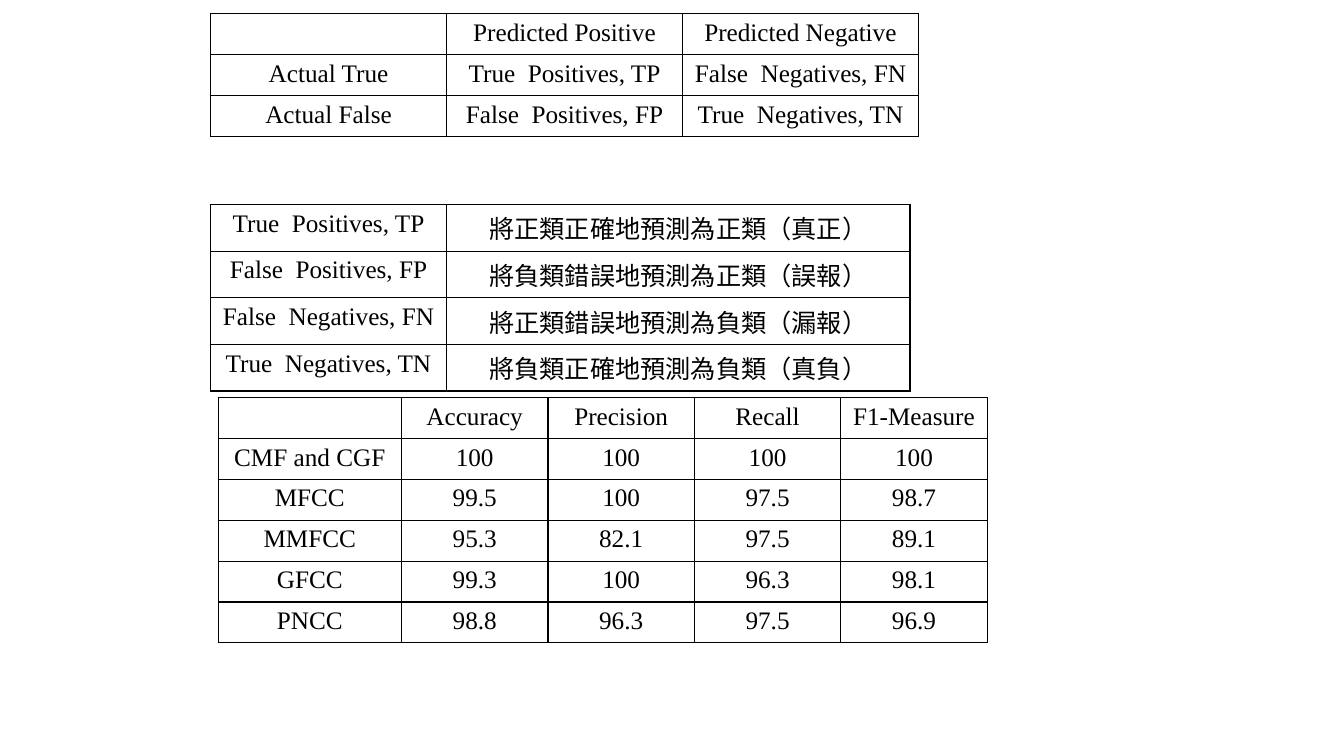
from lxml.etree import SubElement
from pptx import Presentation
from pptx.dml.color import RGBColor
from pptx.enum.text import PP_ALIGN
from pptx.oxml.ns import qn
from pptx.util import Pt

BLACK = RGBColor(0x00, 0x00, 0x00)
ROW_HEIGHT = Pt(29.2)
FONT_FORMAT = {"name": "Times New Roman", "size": Pt(18), "bold": False}
TABLE_FORMAT = {"first_row": False, "horz_banding": False}

TP, FP = "True  Positives, TP", "False  Positives, FP"
FN, TN = "False  Negatives, FN", "True  Negatives, TN"

confusion_matrix = [
    ["", "Predicted Positive", "Predicted Negative"],
    ["Actual True", TP, FN],
    ["Actual False", FP, TN],
]
feature_scores = [
    ["", "Accuracy", "Precision", "Recall", "F1-Measure"],
    ["CMF and CGF", "100", "100", "100", "100"],
    ["MFCC", "99.5", "100", "97.5", "98.7"],
    ["MMFCC", "95.3", "82.1", "97.5", "89.1"],
    ["GFCC", "99.3", "100", "96.3", "98.1"],
    ["PNCC", "98.8", "96.3", "97.5", "96.9"],
]
outcome_meanings = [
    [TP, "將正類正確地預測為正類（真正）"],
    [FP, "將負類錯誤地預測為正類（誤報）"],
    [FN, "將正類錯誤地預測為負類（漏報）"],
    [TN, "將負類正確地預測為負類（真負）"],
]


def add_borders(cell):
    properties = cell._tc.get_or_add_tcPr()
    for side in ("a:lnL", "a:lnR", "a:lnT", "a:lnB"):
        border = SubElement(properties, qn(side), w=str(Pt(1)))
        border_fill = SubElement(border, qn("a:solidFill"))
        SubElement(border_fill, qn("a:srgbClr"), val=str(BLACK))


presentation = Presentation()
presentation.slide_width = Pt(960)
presentation.slide_height = Pt(540)
slide = presentation.slides.add_slide(presentation.slide_layouts[6])

for left, top, widths, content in (
    (150.4, 9.8, [168.6] * 3, confusion_matrix),
    (155.8, 284, [131] + [104.6] * 4, feature_scores),
    (150.4, 146.2, [168.6, 331], outcome_meanings),
):
    grid = slide.shapes.add_table(
        len(content), len(widths), Pt(left), Pt(top),
        Pt(sum(widths)), ROW_HEIGHT * len(content),
    ).table
    for attribute, value in TABLE_FORMAT.items():
        setattr(grid, attribute, value)
    for column, width in zip(grid.columns, widths):
        column.width = Pt(width)
    for row, texts in zip(grid.rows, content):
        row.height = ROW_HEIGHT
        for cell, text in zip(row.cells, texts):
            add_borders(cell)
            cell.fill.background()
            cell.text = text
            paragraph = cell.text_frame.paragraphs[0]
            paragraph.alignment = PP_ALIGN.CENTER
            for run in paragraph.runs:
                for attribute, value in FONT_FORMAT.items():
                    setattr(run.font, attribute, value)
                run.font.color.rgb = BLACK

presentation.save("out.pptx")
